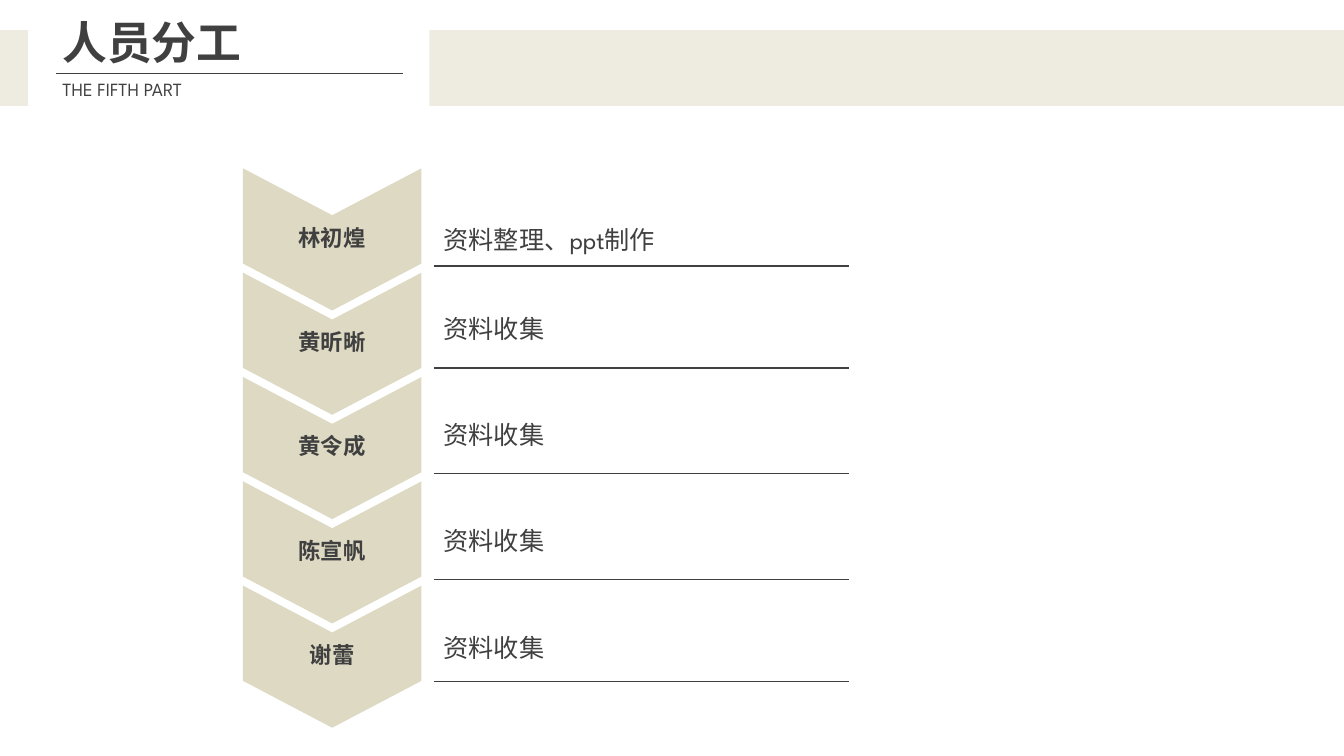
from dataclasses import dataclass

from lxml.etree import SubElement
from pptx import Presentation
from pptx.dml.color import RGBColor
from pptx.enum.shapes import MSO_CONNECTOR as Connector, MSO_SHAPE as Shape
from pptx.enum.text import MSO_AUTO_SIZE as AutoSize, PP_ALIGN as Align
from pptx.oxml.ns import qn
from pptx.util import Inches, Pt


@dataclass(frozen=True)
class Theme:
    font: str = "League Spartan"
    ink: str = "404040"
    band: str = "EEECE1"
    chevron: str = "DDD9C3"
    title: float = 32
    subtitle: float = 13.3
    name: float = 16
    duty: float = 18
    rule: float = 1


def apply(target, values):
    for attribute, value in values.items():
        setattr(target, attribute, value)


class SlideBuilder:
    def __init__(self, slide, theme):
        self.shapes = slide.shapes
        self.theme = theme

    def block(self, kind, box, color, rotation=0):
        shape = self.shapes.add_shape(kind, *map(Inches, box))
        shape.shadow.inherit = False
        shape.fill.solid()
        shape.fill.fore_color.rgb = RGBColor.from_string(color)
        shape.line.fill.background()
        shape.rotation = rotation
        return shape

    def rule(self, left, right, y):
        ends = map(Inches, (left, y, right, y))
        connector = self.shapes.add_connector(Connector.STRAIGHT, *ends)
        connector.line.color.rgb = RGBColor.from_string(self.theme.ink)
        connector.line.width = Pt(self.theme.rule)
        SubElement(connector._element.spPr, qn("a:effectLst"))

    def text(self, content, box, size, bold=False, wrap=True, **paragraph_format):
        frame = self.shapes.add_textbox(*map(Inches, box)).text_frame
        apply(frame, {"word_wrap": wrap, "auto_size": AutoSize.SHAPE_TO_FIT_TEXT})
        paragraph = frame.paragraphs[0]
        apply(paragraph, paragraph_format)
        run = paragraph.add_run()
        run.text = content
        apply(run.font, {"name": self.theme.font, "size": Pt(size), "bold": bold})
        run.font.color.rgb = RGBColor.from_string(self.theme.ink)

    def chevron(self, name, top):
        shape = self.block(Shape.CHEVRON, (2.59, top, 1.41, 1.77),
                           self.theme.chevron, rotation=90)
        shape.adjustments[0] = 0.33
        self.text(name, (2.41, top + 0.68, 1.77, 0.37), self.theme.name,
                  bold=True, alignment=Align.CENTER)

    def duty(self, content, top, rule_y):
        self.rule(4.3, 8.42, rule_y)
        self.text(content, (4.3, top, 4.12, 0.46), self.theme.duty, line_spacing=1.3)


# Name, duty, top of the duty text, height of the line below it
MEMBERS = [
    ("林初煌", "资料整理、ppt制作", 2.09, 2.64),
    ("黄昕晰", "资料收集", 2.97, 3.65),
    ("黄令成", "资料收集", 4.02, 4.7),
    ("陈宣帆", "资料收集", 5.07, 5.75),
    ("谢蕾", "资料收集", 6.13, 6.76),
]
FIRST_TOP, PITCH = 1.49, 1.035


def main():
    presentation = Presentation()
    apply(presentation, {"slide_width": Inches(13.33), "slide_height": Inches(7.5)})
    slide = presentation.slides.add_slide(presentation.slide_layouts[6])
    theme = Theme()
    builder = SlideBuilder(slide, theme)

    # Header
    builder.rule(0.56, 4, 0.73)
    for left, width in ((0, 0.28), (4.26, 9.07)):
        builder.block(Shape.RECTANGLE, (left, 0.3, width, 0.75), theme.band)
    builder.text("人员分工", (0.52, 0.1, 3.68, 0.64), theme.title, bold=True)
    builder.text("THE FIFTH PART", (0.52, 0.72, 1.49, 0.33), theme.subtitle, wrap=False)

    # Members and their duties
    for index, (name, duty, duty_top, rule_y) in enumerate(MEMBERS):
        builder.chevron(name, FIRST_TOP + index * PITCH)
        builder.duty(duty, duty_top, rule_y)

    presentation.save("out.pptx")


if __name__ == "__main__":
    main()
